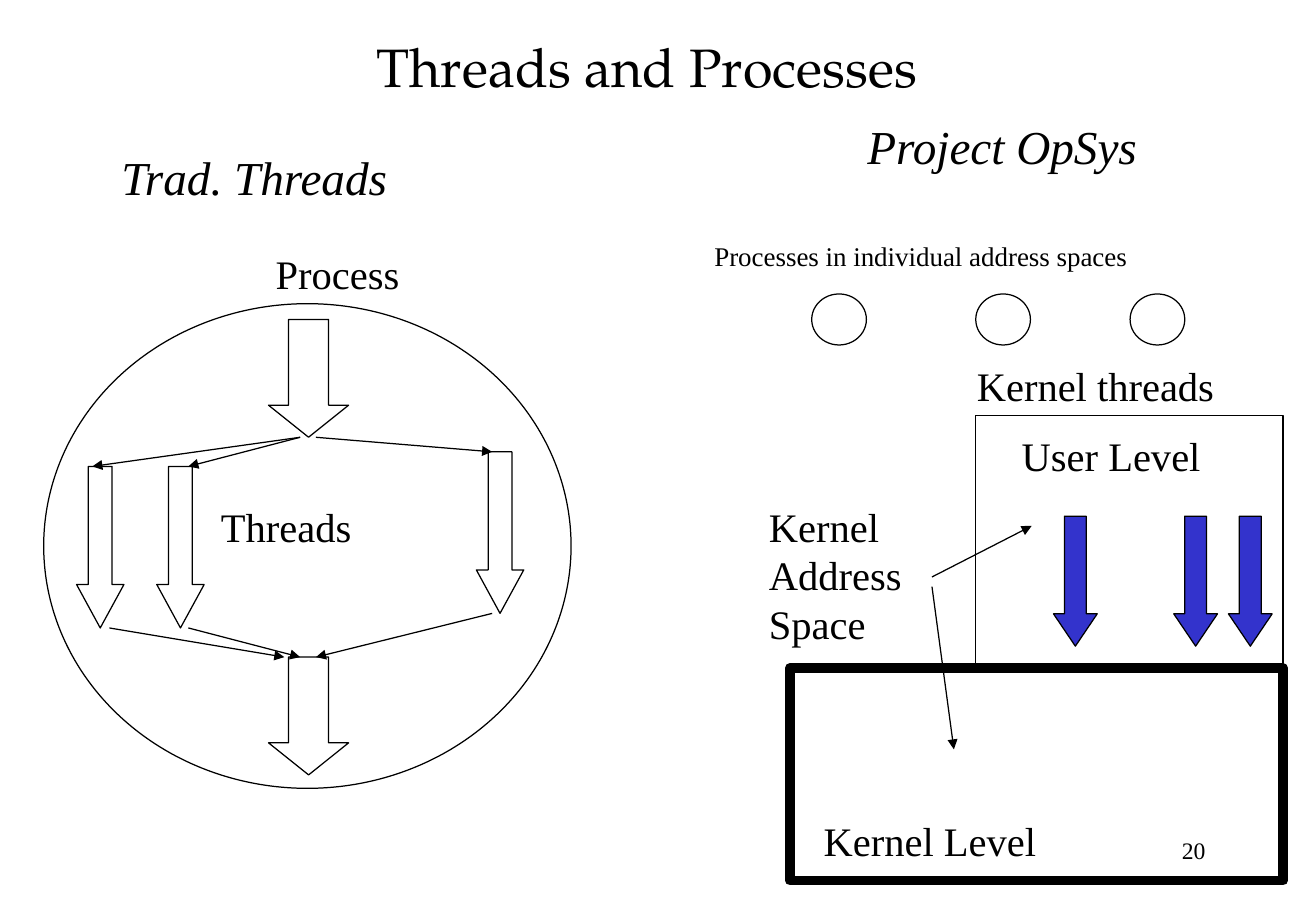
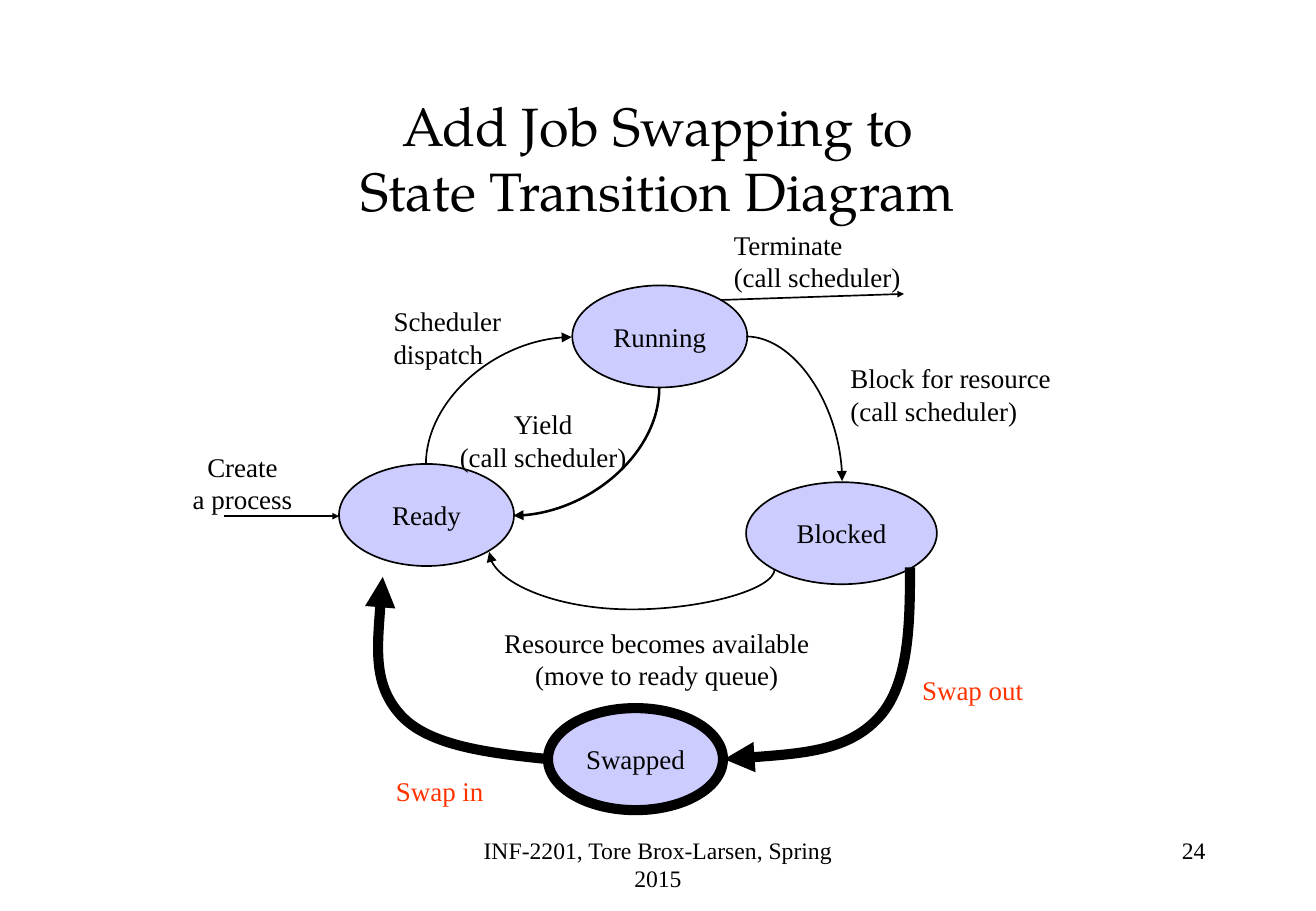
from dataclasses import dataclass
from lxml import etree
from pptx import Presentation
from pptx.dml.color import RGBColor
from pptx.enum import shapes, text
from pptx.oxml.ns import qn
from pptx.util import Inches, Pt


@dataclass(frozen=True)
class Theme:
    ink: str = "000000"
    blue: str = "3333CC"
    pale: str = "CCCCFF"
    red: str = "FF3300"
    body: str = "Times New Roman"
    head: str = "TeX Gyre Pagella"
    title: int = 32
    sub: int = 28
    label: int = 24
    note: int = 16
    foot: int = 14
    thin: float = 0.75
    line: float = 1
    bold: float = 1.5
    thick: float = 6
    frame: float = 5.75


T = Theme()
KIND = shapes.MSO_SHAPE
LINK = shapes.MSO_CONNECTOR
LEFT, MID, RIGHT = text.PP_ALIGN.LEFT, text.PP_ALIGN.CENTER, text.PP_ALIGN.RIGHT


def rgb(tone):
    return RGBColor.from_string(tone)


def inch(box):
    return [Inches(v) for v in box]


def put(para, words, size, tone=T.ink, font=T.body, slant=None):
    run = para.add_run()
    run.text = words
    run.font.size = Pt(size)
    run.font.name = font
    run.font.italic = slant
    run.font.color.rgb = rgb(tone)


def label(slide, box, lines, size=T.label, align=LEFT, **look):
    frame = slide.shapes.add_textbox(*inch(box)).text_frame
    frame.word_wrap = True
    for i, words in enumerate(lines):
        para = frame.add_paragraph() if i else frame.paragraphs[0]
        para.alignment = align
        put(para, words, size, **look)
    return frame


def title(slide, box, lines):
    frame = label(slide, box, lines[:1], T.title, MID, font=T.head)
    frame.vertical_anchor = text.MSO_ANCHOR.MIDDLE
    para = frame.paragraphs[0]
    for words in lines[1:]:
        para.add_line_break()
        put(para, words, T.title, font=T.head)


def number(slide, value):
    label(slide, (7.76, 6.83, 2.26, 0.5), [value], T.foot, RIGHT)


def dress(shape, width, fill=None):
    shape.shadow.inherit = False
    shape.line.color.rgb = rgb(T.ink)
    shape.line.width = Pt(width)
    if fill:
        shape.fill.solid()
        shape.fill.fore_color.rgb = rgb(fill)
    else:
        shape.fill.background()


def form(slide, kind, box, width=T.thin, fill=None, adjust=()):
    shape = slide.shapes.add_shape(kind, *inch(box))
    dress(shape, width, fill)
    for i, value in enumerate(adjust):
        shape.adjustments[i] = value
    return shape


def state(slide, box, name, width=T.line):
    frame = form(slide, KIND.OVAL, box, width, T.pale).text_frame
    frame.word_wrap = False
    frame.vertical_anchor = text.MSO_ANCHOR.MIDDLE
    frame.paragraphs[0].alignment = MID
    put(frame.paragraphs[0], name, T.note)


def tip(shape, size="med"):
    etree.SubElement(shape.line._get_or_add_ln(), qn("a:tailEnd"),
                     type="triangle", w=size, len=size)


def link(slide, kind, ends, width, size="med"):
    wire = slide.shapes.add_connector(kind, *inch(ends))
    wire.line.color.rgb = rgb(T.ink)
    wire.line.width = Pt(width)
    tip(wire, size)
    etree.SubElement(wire._element.spPr, qn("a:effectLst"))
    return wire


def arrow(slide, ends, width=T.thin, size="med"):
    link(slide, LINK.STRAIGHT, ends, width, size)


def curve(slide, box, turn=0, width=T.line, bend=None):
    x, y, w, h = box
    wire = link(slide, LINK.CURVE, (x, y, x + w, y + h), width)
    props = wire._element.spPr
    frame, geom = props.find(qn("a:xfrm")), props.find(qn("a:prstGeom"))
    frame.set("rot", str(turn * 60000))
    if bend is None:
        geom.set("prst", "curvedConnector2")
    else:
        frame.set("flipV", "1")
        etree.SubElement(geom.find(qn("a:avLst")), qn("a:gd"),
                         name="adj1", fmla=f"val {round(bend * 100000)}")


def sweep(slide, points):
    spots = [inch(p) for p in points]
    pen = slide.shapes.build_freeform(*spots[0])
    pen.add_line_segments(spots[1:], close=False)
    shape = pen.convert_to_shape()
    trace = next(shape._element.iter(qn("a:path")))
    steps = trace.findall(qn("a:lnTo"))
    for i in range(0, len(steps), 3):
        cubic = etree.SubElement(trace, qn("a:cubicBezTo"))
        for step in steps[i:i + 3]:
            cubic.append(step[0])
            trace.remove(step)
    dress(shape, T.thick)
    tip(shape)


def threads(slide):
    title(slide, (0.72, 0.25, 9.21, 0.58), ["Threads and Processes"])
    form(slide, KIND.OVAL, (0.36, 2.5, 4.34, 3.99))
    for x, y in ((0.63, 3.84), (1.29, 3.84), (3.92, 3.72)):
        form(slide, KIND.DOWN_ARROW, (x, y, 0.39, 1.33), adjust=(0.5, 0.917))
    for y in (2.63, 5.41):
        form(slide, KIND.DOWN_ARROW, (2.21, y, 0.66, 0.97), adjust=(0.5, 0.4))
    for ends in ((2.47, 3.6, 0.76, 3.84), (2.47, 3.6, 1.55, 3.84),
                 (2.6, 3.6, 4.05, 3.72), (0.9, 5.17, 2.34, 5.41),
                 (1.55, 5.17, 2.47, 5.41), (4.05, 5.05, 2.6, 5.41)):
        arrow(slide, ends)

    form(slide, KIND.RECTANGLE, (6.5, 5.5, 4.06, 1.75), T.frame)
    for x in (8.67, 9.66, 10.11):
        form(slide, KIND.DOWN_ARROW, (x, 4.25, 0.36, 1.07), fill=T.blue,
             adjust=(0.5, 0.739))
    form(slide, KIND.RECTANGLE, (8.03, 3.42, 2.53, 2.08))
    for ends in ((7.67, 4.75, 8.49, 4.33), (7.67, 4.83, 7.85, 6.17)):
        arrow(slide, ends)
    for x in (6.68, 8.03, 9.3):
        form(slide, KIND.OVAL, (x, 2.42, 0.45, 0.42))

    for box, words in (((2.17, 2, 2.44, 0.5), "Process"),
                       ((1.72, 4.08, 2.26, 0.5), "Threads"),
                       ((7.94, 2.92, 2.62, 0.5), "Kernel threads"),
                       ((6.23, 4.08, 1.53, 1.3), "Kernel Address Space"),
                       ((6.68, 6.67, 2.26, 0.5), "Kernel Level"),
                       ((8.31, 3.5, 2.08, 0.5), "User Level")):
        label(slide, box, [words])
    for x, y, words in ((7.04, 0.92, "Project OpSys"),
                        (0.9, 1.17, "Trad. Threads")):
        label(slide, (x, y, 3.52, 0.57), [words], T.sub, slant=True)
    label(slide, (5.78, 1.92, 5.05, 0.37),
          ["Processes in individual address spaces"], T.note)
    number(slide, "20")


def swapping(slide):
    label(slide, (3.7, 6.83, 3.43, 0.5),
          ["INF-2201, Tore Brox-Larsen, Spring 2015"], T.foot, MID)
    title(slide, (0.81, 0.67, 9.21, 1.25),
          ["Add Job Swapping to", "State Transition Diagram"])
    for x, y, w, name in ((4.71, 2.35, 1.44, "Running"),
                          (6.14, 3.97, 1.57, "Blocked"),
                          (2.79, 3.82, 1.44, "Ready")):
        state(slide, (x, y, w, 0.84), name)

    curve(slide, (3.58, 2.7, 1.05, 1.2), 270)
    curve(slide, (6.14, 2.77, 0.79, 1.19))
    curve(slide, (5.13, 3.44, 0.14, 2.35), 270, bend=-2.375)
    curve(slide, (4.3, 3.12, 1.05, 1.2), 90, T.bold)
    for ends in ((1.84, 4.25, 2.79, 4.25), (5.93, 2.47, 7.44, 2.42)):
        arrow(slide, ends, T.line, "sm")

    call = "(call scheduler)"
    for x, y, w, align, lines in (
            (1.44, 3.66, 1.11, MID, ("Create", "a process")),
            (5.94, 1.83, 1.72, LEFT, ("Terminate", call)),
            (3.61, 3.31, 1.72, MID, ("Yield", call)),
            (6.9, 2.93, 2.01, LEFT, ("Block for resource", call)),
            (3.14, 2.46, 1.18, LEFT, ("Scheduler", "dispatch")),
            (3.93, 5.11, 2.95, MID,
             ("Resource becomes available", "(move to ready queue)"))):
        label(slide, (x, y, w, 0.64), lines, T.note, align)
    for x, y, words in ((7.49, 5.5, "Swap out"), (3.16, 6.33, "Swap in")):
        label(slide, (x, y, 1.12, 0.37), [words], T.note, tone=T.red)

    state(slide, (4.51, 5.83, 1.44, 0.84), "Swapped", T.thick)
    sweep(slide, ((7.49, 4.67), (7.49, 5.16), (7.48, 5.65), (7.22, 5.92),
                  (6.97, 6.18), (6.46, 6.22), (5.96, 6.25)))
    sweep(slide, ((4.51, 6.25), (4.02, 6.2), (3.53, 6.14), (3.3, 5.89),
                  (3.07, 5.64), (3.11, 5.2), (3.15, 4.75)))
    number(slide, "24")


def main():
    deck = Presentation()
    deck.slide_width, deck.slide_height = Inches(10.83), Inches(7.5)
    for build in (threads, swapping):
        build(deck.slides.add_slide(deck.slide_layouts[6]))
    deck.save("out.pptx")


if __name__ == "__main__":
    main()
